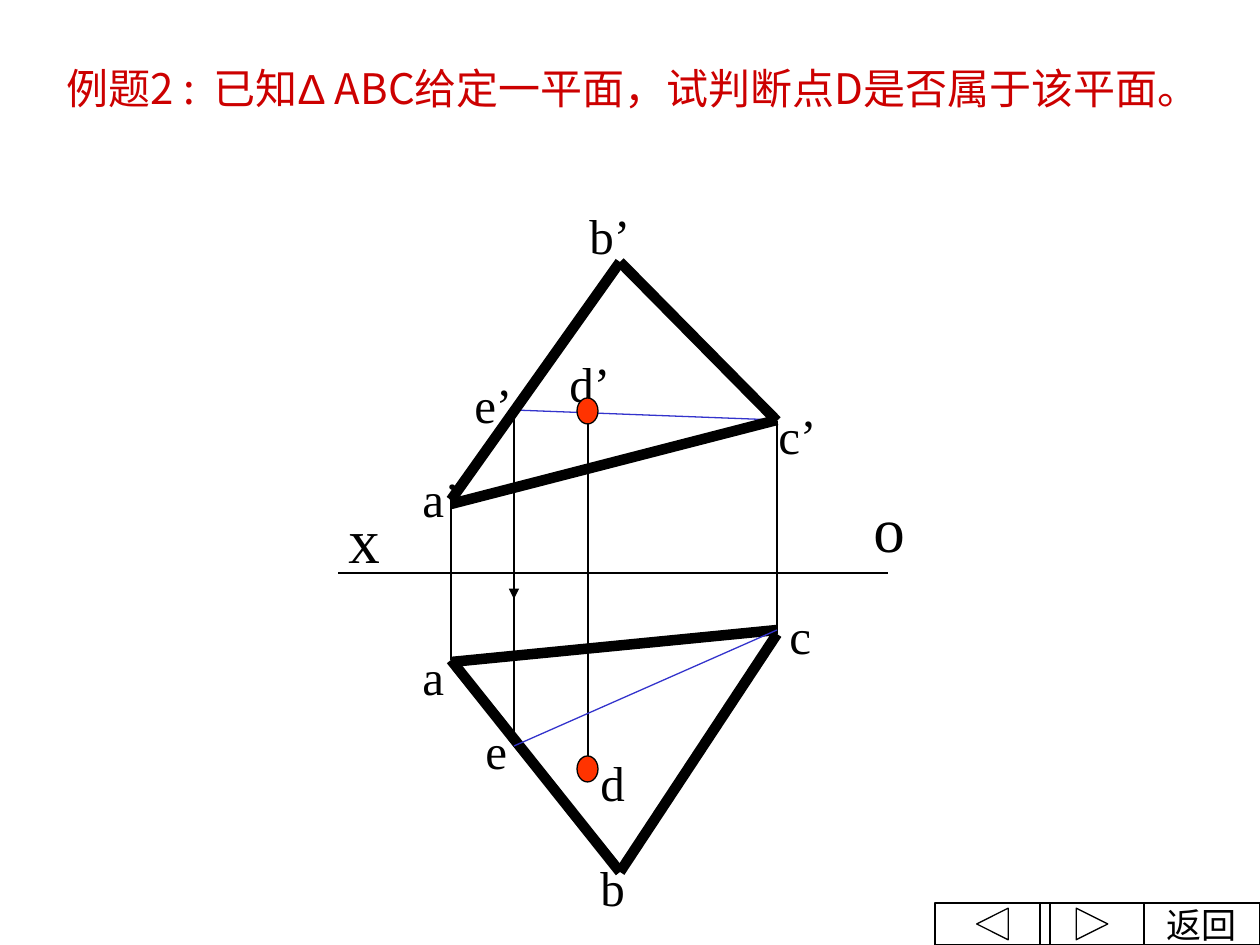
from typing import NamedTuple

from pptx import Presentation
from pptx import util as u
from pptx.dml.color import RGBColor
from pptx.enum import shapes, text
from pptx.oxml.ns import qn
from lxml import etree

PX = u.Inches(1) / 126
BLACK, BLUE, RED, ORANGE = "000000", "3333CC", "CC0000", "FF3300"
SERIF, SANS, CJK = "Times New Roman", "Arial", "Noto Sans CJK JP"


class Line(NamedTuple):
    x1: int
    y1: int
    x2: int
    y2: int
    color: str = BLACK
    width: float = 0.75
    arrow: bool = False


class Label(NamedTuple):
    text: str
    x: int
    y: int
    w: int = 73
    h: int = 72
    size: int = 28


class Button(NamedTuple):
    kind: shapes.MSO_SHAPE
    x: int
    w: int
    text: str = ""


def px(n: int) -> u.Emu:
    return u.Emu(round(n * PX))


def rgb(color: str) -> RGBColor:
    return RGBColor.from_string(color)


def add_run(p, content: str, *, size: int, font: str = SERIF, color: str = BLACK) -> None:
    r = p.add_run()
    r.text = content
    r.font.size = u.Pt(size)
    r.font.name = font
    r.font.color.rgb = rgb(color)
    if font == CJK:
        etree.SubElement(r.font._element, qn("a:ea")).set("typeface", font)


def add_text_box(s, x: int, y: int, w: int, h: int, anchor=text.MSO_ANCHOR.TOP):
    tf = s.shapes.add_textbox(px(x), px(y), px(w), px(h)).text_frame
    tf.word_wrap = True
    tf.vertical_anchor = anchor
    return tf.paragraphs[0]


def draw_line(s, line: Line) -> None:
    cn = s.shapes.add_connector(
        shapes.MSO_CONNECTOR.STRAIGHT,
        px(line.x1), px(line.y1), px(line.x2), px(line.y2),
    )
    cn.line.color.rgb = rgb(line.color)
    cn.line.width = u.Pt(line.width)
    if line.arrow:
        ln = cn.line._get_or_add_ln()
        etree.SubElement(ln, qn("a:tailEnd")).set("type", "triangle")
    etree.SubElement(cn._element.spPr, qn("a:effectLst"))


def draw_label(s, label: Label) -> None:
    p = add_text_box(s, label.x, label.y, label.w, label.h)
    add_run(p, label.text, size=label.size)


def add_outlined(s, kind, x: int, y: int, w: int, h: int, fill: str = ""):
    sp = s.shapes.add_shape(kind, px(x), px(y), px(w), px(h))
    sp.shadow.inherit = False
    if fill:
        sp.fill.solid()
        sp.fill.fore_color.rgb = rgb(fill)
    else:
        sp.fill.background()
    sp.line.color.rgb = rgb(BLACK)
    sp.line.width = u.Pt(0.75)
    return sp


def draw_button(s, button: Button) -> None:
    sp = add_outlined(s, button.kind, button.x, 903, button.w, 42)
    if button.text:
        tf = sp.text_frame
        tf.word_wrap = False
        tf.vertical_anchor = text.MSO_ANCHOR.MIDDLE
        p = tf.paragraphs[0]
        p.alignment = text.PP_ALIGN.CENTER
        add_run(p, button.text, size=20)


TITLE = [
    ("例题2 :  已知", CJK),
    ("Δ ", SANS),
    ("ABC给定一平面，试判断点D是否属于该平面。", CJK),
]
TRIANGLES = [
    Line(451, 500, 620, 262, width=6),
    Line(620, 262, 777, 421, width=6),
    Line(451, 504, 777, 420, width=6),
    Line(620, 872, 777, 634, width=6),
    Line(451, 660, 620, 872, width=6),
    Line(451, 662, 777, 630, width=6),
]
AXIS_AND_PROJECTORS = [
    Line(888, 573, 338, 573),
    Line(451, 500, 451, 660),
    Line(777, 421, 777, 634),
    Line(514, 410, 514, 735),
    Line(514, 536, 514, 599, arrow=True),
]
LABELS = [
    Label("x", 336, 494, 38, 88, 36),
    Label("o", 861, 483, 88, 88, 36),
    Label("a’", 410, 462),
    Label("b’", 577, 199),
    Label("c’", 766, 399),
    Label("e’", 462, 368),
    Label("a", 410, 640),
    Label("b", 588, 851),
    Label("c", 777, 599),
    Label("d", 588, 746),
    Label("e", 473, 714),
]
BUTTONS = [
    Button(shapes.MSO_SHAPE.ACTION_BUTTON_CUSTOM, 1144, 116, "返回"),
    Button(shapes.MSO_SHAPE.ACTION_BUTTON_BACK_OR_PREVIOUS, 935, 115),
    Button(shapes.MSO_SHAPE.ACTION_BUTTON_FORWARD_OR_NEXT, 1040, 104),
]


def main() -> None:
    prs = Presentation()
    prs.slide_width, prs.slide_height = px(1260), px(945)
    s = prs.slides.add_slide(prs.slide_layouts[6])

    draw_line(s, Line(777, 420, 514, 410, BLUE))
    p = add_text_box(s, 54, 24, 1158, 127, text.MSO_ANCHOR.MIDDLE)
    for content, font in TITLE:
        add_run(p, content, size=24, font=font, color=RED)

    draw_label(s, Label("d’", 557, 347))
    draw_line(s, Line(588, 410, 588, 766))
    for y in (756, 398):
        add_outlined(s, shapes.MSO_SHAPE.OVAL, 577, y, 21, 26, ORANGE)

    for line in AXIS_AND_PROJECTORS + TRIANGLES:
        draw_line(s, line)
    draw_line(s, Line(514, 746, 777, 630, BLUE))
    for label in LABELS:
        draw_label(s, label)
    for button in BUTTONS:
        draw_button(s, button)
    prs.save("out.pptx")


if __name__ == "__main__":
    main()
